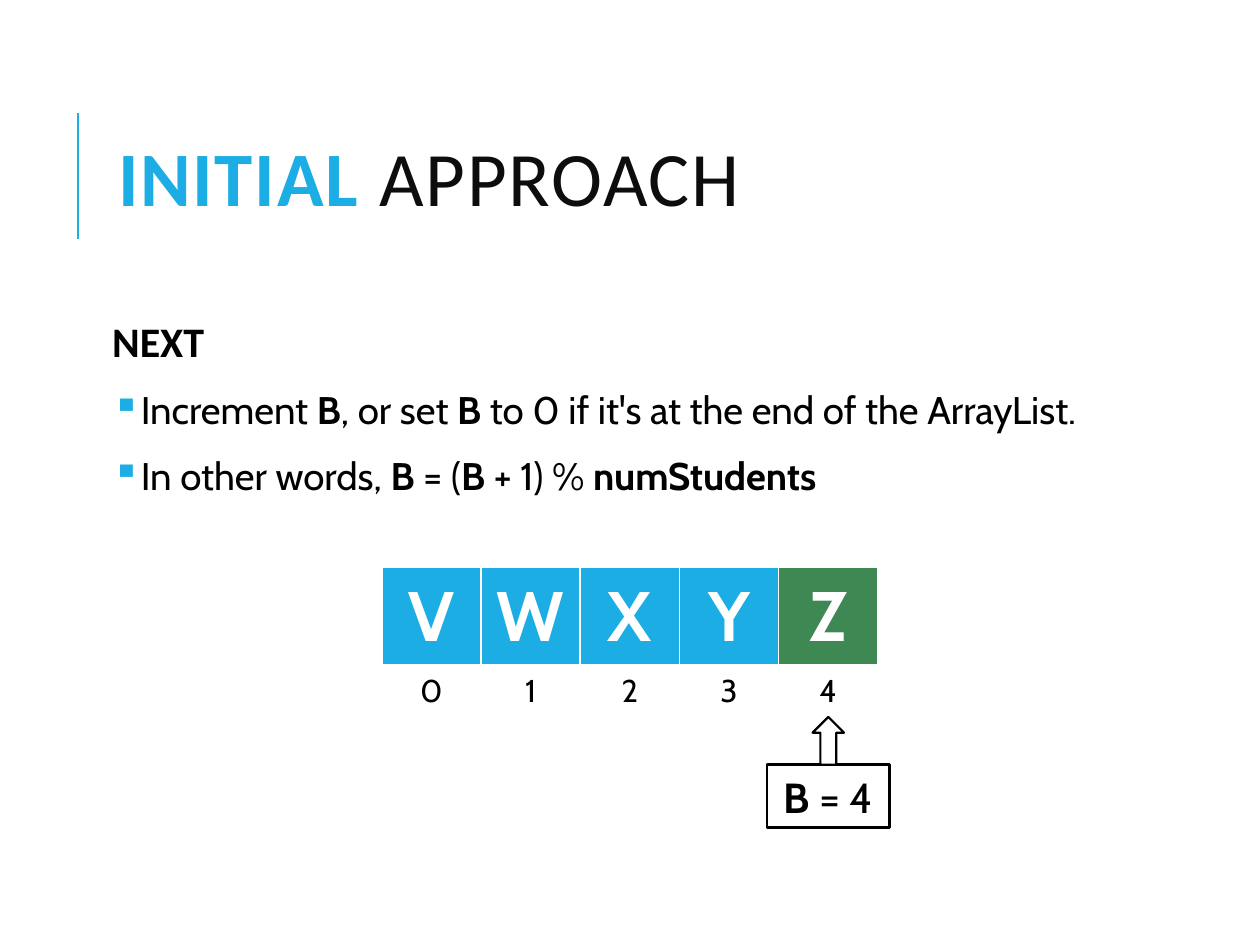
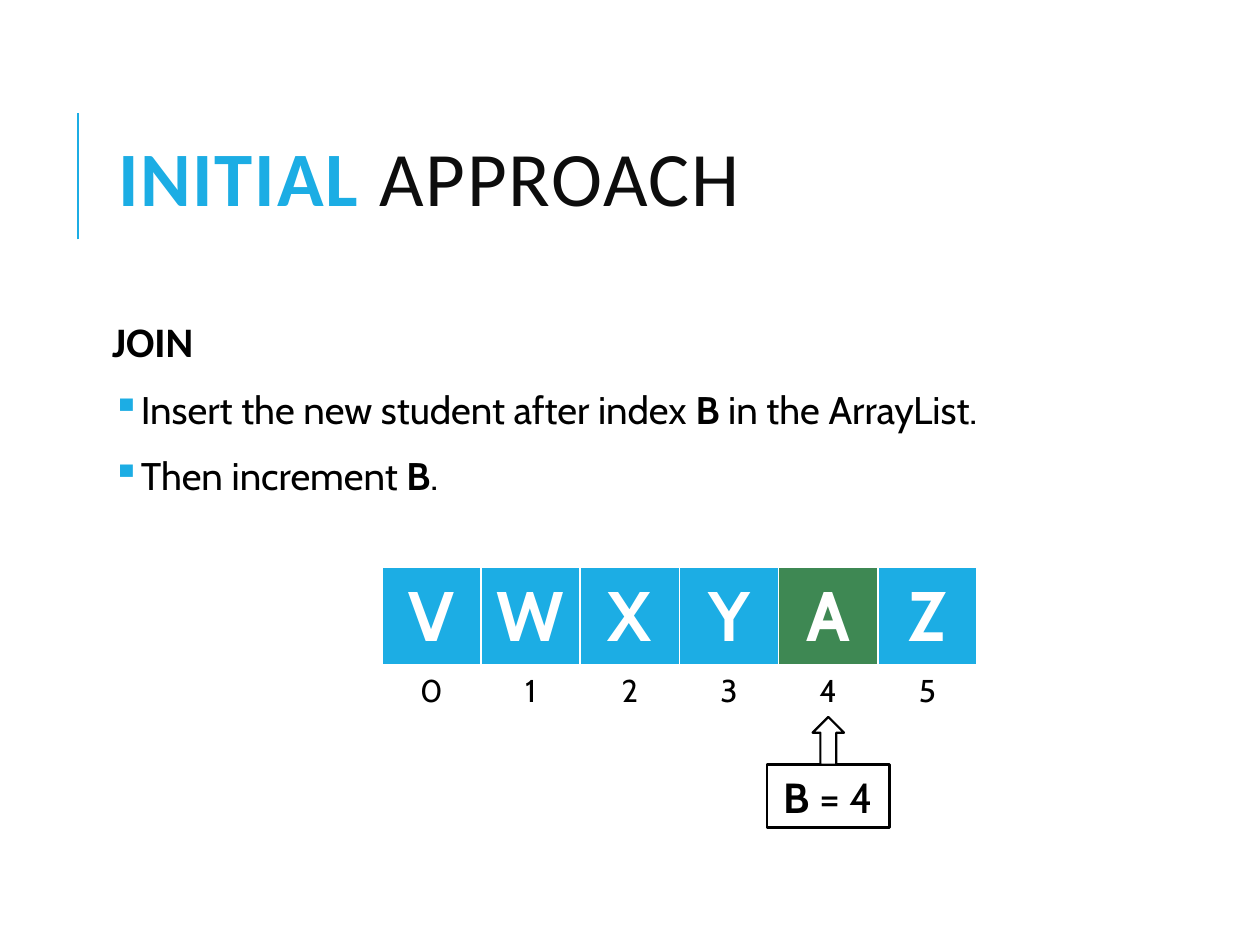
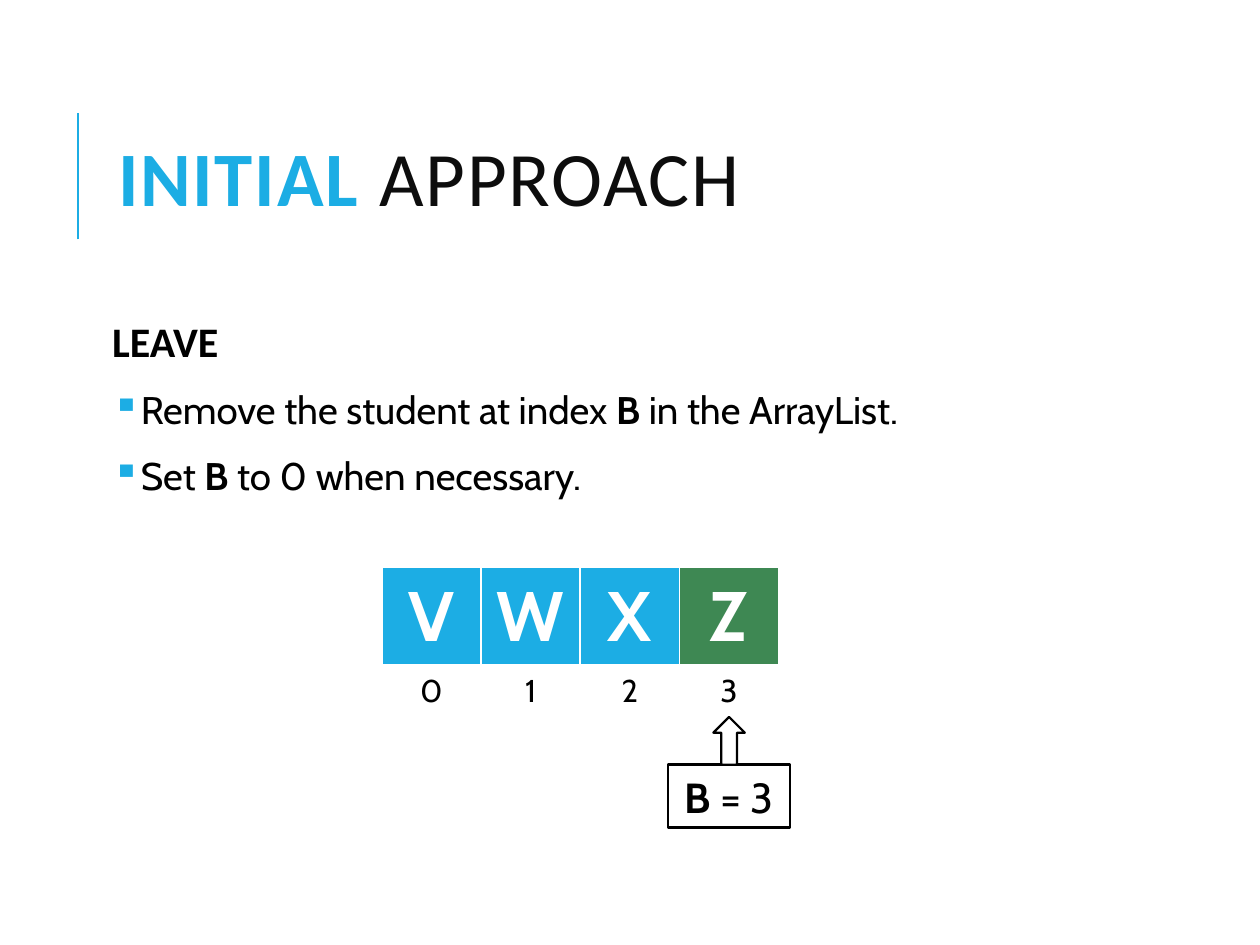
from dataclasses import dataclass

from lxml.etree import SubElement
from pptx import Presentation
from pptx.dml.color import RGBColor
from pptx.enum.shapes import MSO_CONNECTOR, MSO_SHAPE
from pptx.enum.text import MSO_ANCHOR, MSO_AUTO_SIZE, PP_ALIGN
from pptx.oxml.ns import qn
from pptx.util import Inches, Pt


@dataclass(frozen=True)
class Theme:
    blue: str = "1CADE4"
    green: str = "3E8853"
    white: str = "FFFFFF"
    black: str = "000000"
    ink: str = "0D0D0D"
    head: str = "Calibri"
    body: str = "Cabin"
    title: int = 44
    letter: int = 40
    large: int = 24
    text: int = 22
    index: int = 18


THEME = Theme()
LEFT, WIDTH, HEIGHT = Inches(0.84), Inches(7.97), Inches(1.64)
CELL = Inches(3.15 / 4)

# Operation, bullets (plain and bold pieces in turn), letters, index of B
STEPS = [
    ("NEXT",
     [["Increment ", "B", ", or set ", "B",
       " to 0 if it's at the end of the ArrayList."],
      ["In other words, ", "B ", "= (", "B", " + 1) % ", "numStudents"]],
     "VWXYZ", 4),
    ("JOIN",
     [["Insert the new student after index ", "B", " in the ArrayList."],
      ["Then increment ", "B", "."]],
     "VWXYAZ", 4),
    ("LEAVE",
     [["Remove the student at index ", "B", " in the ArrayList."],
      ["Set ", "B", " to 0 when necessary."]],
     "VWXZ", 3),
]


def paint(fill, color):
    fill.solid()
    fill.fore_color.rgb = RGBColor.from_string(color)


def add_run(para, text, size, face=THEME.body, color=THEME.black, bold=False):
    run = para.add_run()
    run.text = text
    font = run.font
    font.size, font.name, font.bold = Pt(size), face, bold
    font.color.rgb = RGBColor.from_string(color)
    return run


def add_mix(para, parts, size):
    """Write pieces that are plain and bold in turn."""
    for pos, part in enumerate(parts):
        if part:
            add_run(para, part, size, bold=pos % 2 == 1)


def add_bullet(para):
    props = para._p.get_or_add_pPr()
    props.set("marL", str(Inches(0.2)))
    props.set("indent", str(-Inches(0.2)))
    color = SubElement(props, qn("a:buClr"))
    SubElement(color, qn("a:srgbClr"), val=THEME.blue)
    SubElement(props, qn("a:buChar"), char="▪")


def add_frame(slide, left, top, width, height):
    frame = slide.shapes.add_textbox(left, top, width, height).text_frame
    frame.word_wrap = True
    return frame


# Title with the rule at its left
def add_title(slide, left, top, width, height):
    x, y = left - Inches(0.22), top + Inches(0.26)
    rule = slide.shapes.add_connector(
        MSO_CONNECTOR.STRAIGHT, x, y + Inches(1), x, y)
    paint(rule.line.fill, THEME.blue)
    rule.line.width = Pt(1.5)
    SubElement(rule._element.spPr, qn("a:effectLst"))

    frame = add_frame(slide, left, top, width, height)
    frame.vertical_anchor = MSO_ANCHOR.MIDDLE
    para = frame.paragraphs[0]
    para.line_spacing = 0.8
    for text, color, bold in (("INITIAL", THEME.blue, True),
                              (" APPROACH", THEME.ink, False)):
        run = add_run(para, text, THEME.title, THEME.head, color, bold)
        run._r.get_or_add_rPr().set("spc", "100")


# Operation name and its bullets
def add_body(slide, left, top, width, height, name, items):
    frame = add_frame(slide, left, top, width, height)
    frame.margin_left = frame.margin_right = Inches(0.05)
    para = frame.paragraphs[0]
    add_run(para, name, THEME.large, THEME.head, bold=True)
    for item in items:
        para = frame.add_paragraph()
        para.space_before = Pt(12)
        add_bullet(para)
        add_mix(para, item, THEME.text)
    for para in frame.paragraphs:
        para.line_spacing = 0.9
        para.space_after = Pt(2)


def add_edges(cell, base):
    props = cell._tc.get_or_add_tcPr()
    for side, size in (("L", 1), ("R", 1), ("T", 1), ("B", base)):
        edge = SubElement(props, qn(f"a:ln{side}"), w=str(Pt(size)))
        fill = SubElement(edge, qn("a:solidFill"))
        SubElement(fill, qn("a:srgbClr"), val=THEME.white)


def set_cell(cell, text, size, color, bold, back, base):
    add_edges(cell, base)
    if back:
        paint(cell.fill, back)
    else:
        cell.fill.background()
    cell.vertical_anchor = MSO_ANCHOR.MIDDLE
    para = cell.text_frame.paragraphs[0]
    para.alignment = PP_ALIGN.CENTER
    add_run(para, text, size, color=color, bold=bold)


# Array of letters above their indices
def add_array(slide, left, top, letters, mark):
    low = Inches(0.4)
    table = slide.shapes.add_table(
        2, len(letters), left, top, CELL * len(letters), CELL + low).table
    table.first_row = table.horz_banding = False
    table.rows[0].height, table.rows[1].height = CELL, low
    for col, letter in enumerate(letters):
        table.columns[col].width = CELL
        back = THEME.green if col == mark else THEME.blue
        set_cell(table.cell(0, col), letter, THEME.letter,
                 THEME.white, True, back, 3)
        set_cell(table.cell(1, col), str(col), THEME.index,
                 THEME.black, False, None, 1)


def add_block(group, kind, mid, top, width, height, line):
    shape = group.shapes.add_shape(kind, mid - width // 2, top, width, height)
    shape.shadow.inherit = False
    paint(shape.fill, THEME.white)
    paint(shape.line.fill, THEME.black)
    shape.line.width = Pt(line)
    return shape


# Labelled arrow under the index of B
def add_marker(slide, mid, top, mark):
    group = slide.shapes.add_group_shape()
    tall = Inches(0.38)
    box = add_block(group, MSO_SHAPE.RECTANGLE, mid, top + tall,
                    Inches(0.97), Inches(0.5), 1.5)
    frame = box.text_frame
    frame.word_wrap = False
    frame.auto_size = MSO_AUTO_SIZE.SHAPE_TO_FIT_TEXT
    para = frame.paragraphs[0]
    para.alignment = PP_ALIGN.CENTER
    add_mix(para, ["", "B ", f"= {mark}"], THEME.large)
    add_block(group, MSO_SHAPE.UP_ARROW, mid, top, Inches(0.25), tall, 1.25)


def add_step(deck, name, items, letters, mark):
    slide = deck.slides.add_slide(deck.slide_layouts[6])
    add_title(slide, LEFT, Inches(0.64), WIDTH, HEIGHT)
    left, top = Inches(3.03), Inches(4.5)
    add_array(slide, left, top, letters, mark)
    add_body(slide, LEFT, Inches(2.5), WIDTH, HEIGHT, name, items)
    mid = left + CELL * mark + CELL // 2
    add_marker(slide, mid, top + Inches(1.19), mark)


def main():
    deck = Presentation()
    deck.slide_width, deck.slide_height = Inches(10), Inches(7.5)
    for step in STEPS:
        add_step(deck, *step)
    deck.save("out.pptx")


if __name__ == "__main__":
    main()
